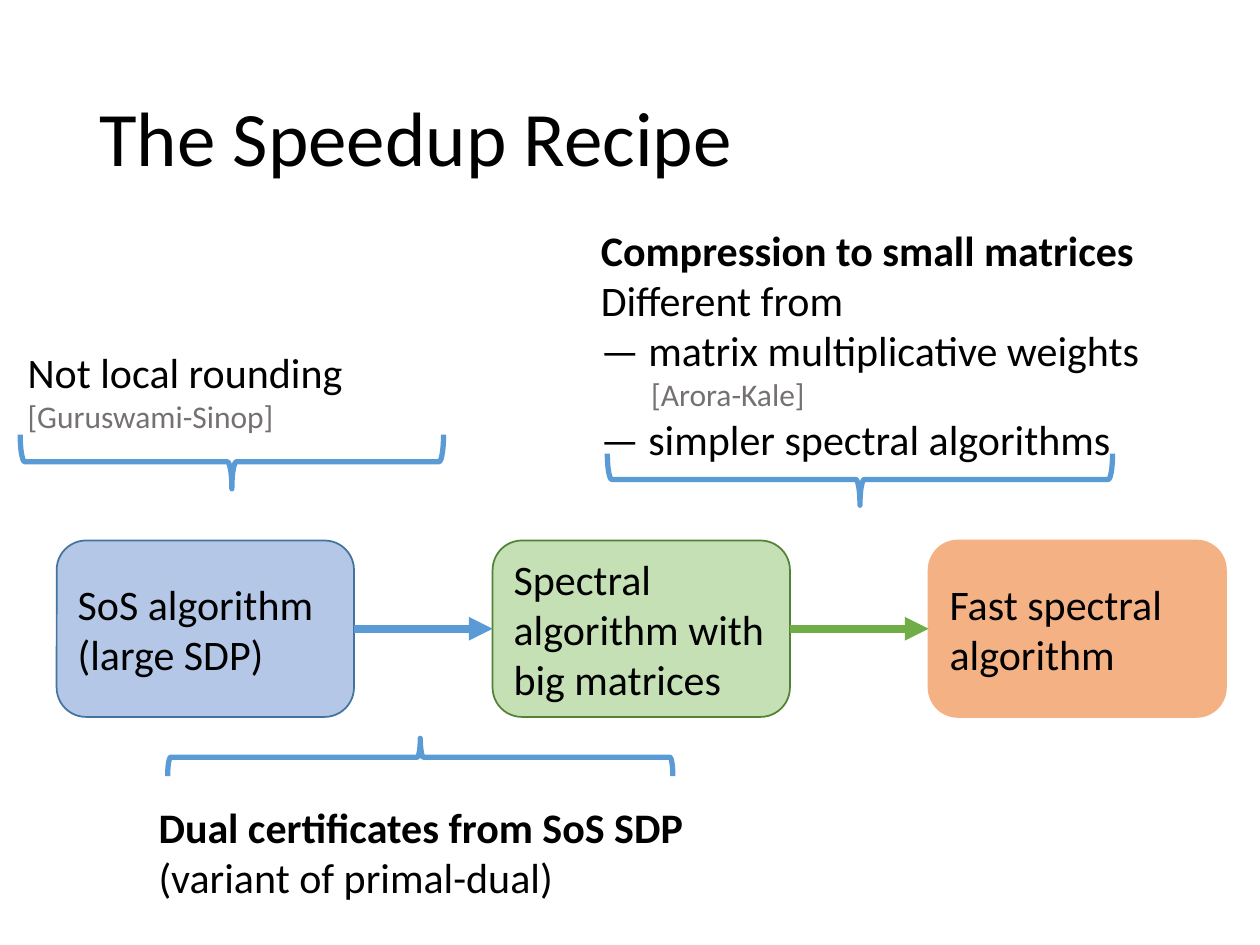
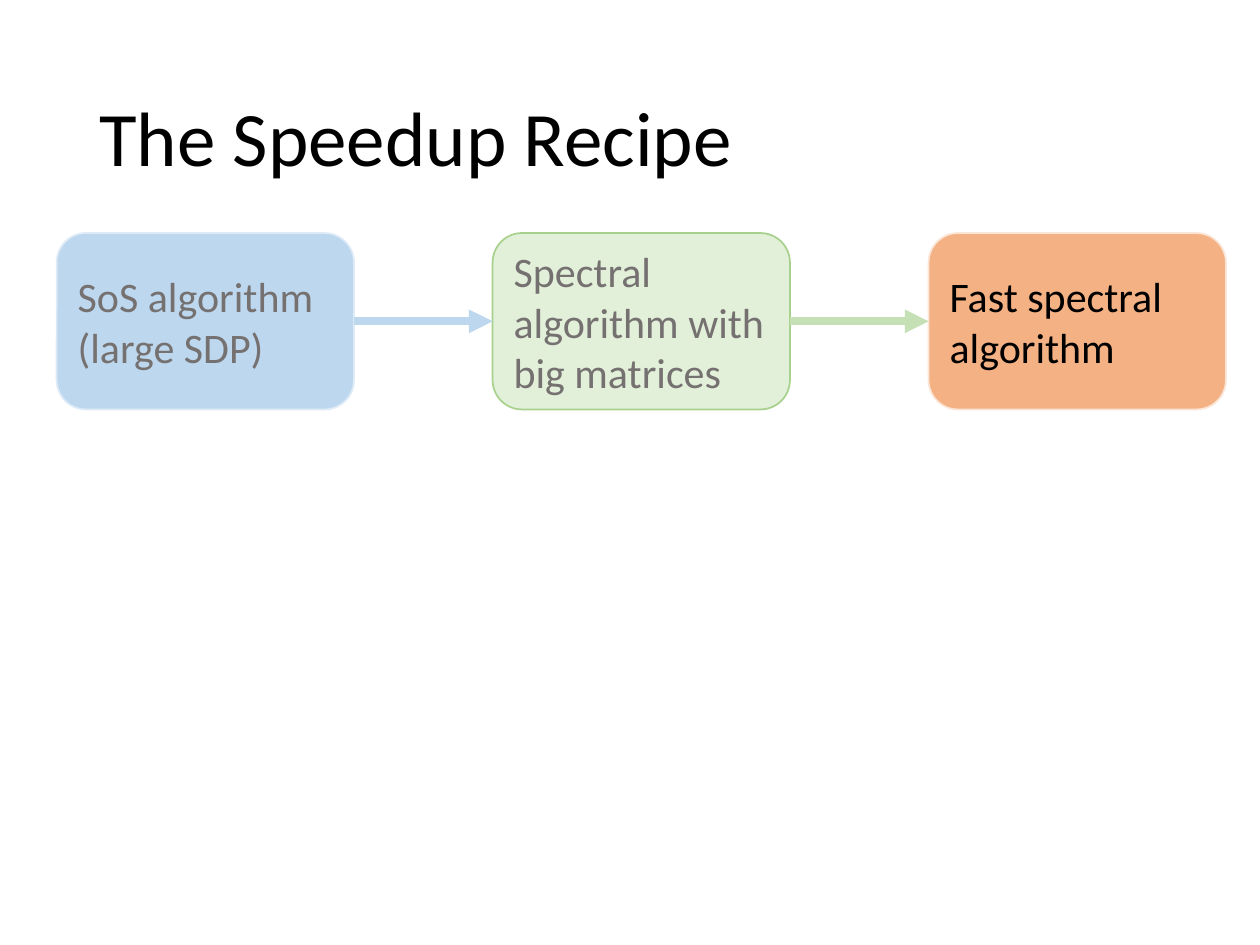
from pptx import Presentation
from pptx.dml.color import RGBColor
from pptx.enum.shapes import MSO_CONNECTOR, MSO_SHAPE
from pptx.enum.text import MSO_ANCHOR, PP_ALIGN
from pptx.oxml.ns import qn
from pptx.util import Inches, Pt
from lxml.etree import SubElement

COLORS = {
    "black": "000000", "gray": "767171",
    "blue": "5B9BD5", "blue_edge": "43739E", "periwinkle": "B4C7E7",
    "light_blue": "BDD7EE", "pale_blue": "DEEBF7",
    "green": "70AD47", "green_edge": "548235", "light_green": "C5E0B4",
    "pale_green": "E2F0D9", "soft_green": "A9D18E",
    "orange": "F4B183", "pale_orange": "FBE5D6",
}
FONT = "Calibri"
TITLE = "The Speedup Recipe"
STEPS = ["SoS algorithm (large SDP)", "Spectral algorithm with big matrices",
         "Fast spectral algorithm"]
STEP_LEFT, STEP_PITCH, STEP_WIDTH, STEP_HEIGHT = 0.45, 3.46, 2.36, 1.4


def rgb(name):
    return RGBColor.from_string(COLORS[name])


class Deck:
    def __init__(self):
        self.presentation = Presentation()
        self.presentation.slide_width = Inches(10)
        self.presentation.slide_height = Inches(7.5)
        self.slide = None

    def new_slide(self, title):
        self.slide = self.presentation.slides.add_slide(self.presentation.slide_layouts[6])
        frame = self.text_box(0.69, 0.4, 8.62, 1.45, [(title, {"size": 44})])
        frame.vertical_anchor = MSO_ANCHOR.MIDDLE
        frame.paragraphs[0].line_spacing = 0.9

    def style_paragraph(self, paragraph, wording, size=24, color="black", bold=False, indent=0):
        paragraph.text = wording
        paragraph.alignment = PP_ALIGN.LEFT
        paragraph.font.name = FONT
        paragraph.font.size = Pt(size)
        paragraph.font.bold = bold
        paragraph.font.color.rgb = rgb(color)
        if indent:
            paragraph._p.get_or_add_pPr().set("marL", str(Inches(indent)))

    def text_box(self, left, top, width, height, lines):
        """Each line is a pair: its wording and its style options."""
        box = self.slide.shapes.add_textbox(
            Inches(left), Inches(top), Inches(width), Inches(height))
        frame = box.text_frame
        frame.word_wrap = True
        for number, (wording, style) in enumerate(lines):
            paragraph = frame.add_paragraph() if number else frame.paragraphs[0]
            self.style_paragraph(paragraph, wording, **style)
        return frame

    def step(self, left, top, wording, fill, edge, color):
        shape = self.slide.shapes.add_shape(
            MSO_SHAPE.ROUNDED_RECTANGLE, Inches(left), Inches(top),
            Inches(STEP_WIDTH), Inches(STEP_HEIGHT))
        shape.shadow.inherit = False
        shape.fill.solid()
        shape.fill.fore_color.rgb = rgb(fill)
        shape.line.color.rgb = rgb(edge)
        shape.line.width = Pt(1)
        shape.text_frame.word_wrap = True
        shape.text_frame.vertical_anchor = MSO_ANCHOR.MIDDLE
        self.style_paragraph(shape.text_frame.paragraphs[0], wording, color=color)
        return shape

    def arrow(self, start, end, color):
        connector = self.slide.shapes.add_connector(MSO_CONNECTOR.STRAIGHT, 0, 0, 0, 0)
        connector.begin_connect(start, 3)
        connector.end_connect(end, 1)
        connector.line.color.rgb = rgb(color)
        connector.line.width = Pt(4.5)
        properties = connector._element.spPr
        SubElement(properties.find(qn("a:ln")), qn("a:tailEnd"), type="triangle")
        SubElement(properties, qn("a:effectLst"))

    def flow(self, top, styles, arrow_colors):
        """The row of three steps, joined by arrows."""
        steps = [self.step(STEP_LEFT + number * STEP_PITCH, top, wording, *style)
                 for number, (wording, style) in enumerate(zip(STEPS, styles))]
        for start, end, color in zip(steps, steps[1:], arrow_colors):
            self.arrow(start, end, color)

    def brace(self, left, top, width, depth, kind):
        """A lying brace; the frame is that of the upright brace before its turn."""
        shape = self.slide.shapes.add_shape(
            kind, Inches(left + (width - depth) / 2), Inches(top + (depth - width) / 2),
            Inches(depth), Inches(width))
        shape.rotation = 90
        shape.shadow.inherit = False
        shape.fill.background()
        shape.line.color.rgb = rgb("blue")
        shape.line.width = Pt(3)


def main():
    deck = Deck()
    bold = {"bold": True}
    citation = {"size": 18, "color": "gray"}

    # Slide 1: the recipe with its explanations
    deck.new_slide(TITLE)
    deck.flow(4.29, [("periwinkle", "blue_edge", "black"),
                     ("light_green", "green_edge", "black"),
                     ("orange", "orange", "black")], ["blue", "green"])

    # Note below the first arrow
    deck.brace(1.33, 5.86, 4.01, 0.3, MSO_SHAPE.LEFT_BRACE)
    deck.text_box(1.16, 6.31, 4.41, 0.91, [
        ("Dual certificates from SoS SDP", bold), ("(variant of primal-dual)", {})])

    # Note above the second arrow
    deck.brace(4.82, 3.6, 4.01, 0.41, MSO_SHAPE.RIGHT_BRACE)
    deck.text_box(4.67, 1.73, 5.23, 2.02, [
        ("Compression to small matrices", bold),
        ("Different from", {}),
        ("— matrix multiplicative weights", {}),
        ("[Arora-Kale]", {**citation, "indent": 0.4}),
        ("— simpler spectral algorithms", {})])

    # Note above the first step
    deck.brace(0.16, 3.45, 3.36, 0.43, MSO_SHAPE.RIGHT_BRACE)
    deck.text_box(0.12, 2.7, 3.52, 0.81, [
        ("Not local rounding", {}), ("[Guruswami-Sinop]", citation)])

    # Slide 2: the last step in focus
    deck.new_slide(TITLE)
    deck.flow(1.85, [("light_blue", "pale_blue", "gray"),
                     ("pale_green", "soft_green", "gray"),
                     ("orange", "pale_orange", "black")], ["light_blue", "light_green"])

    deck.presentation.save("out.pptx")


if __name__ == "__main__":
    main()
